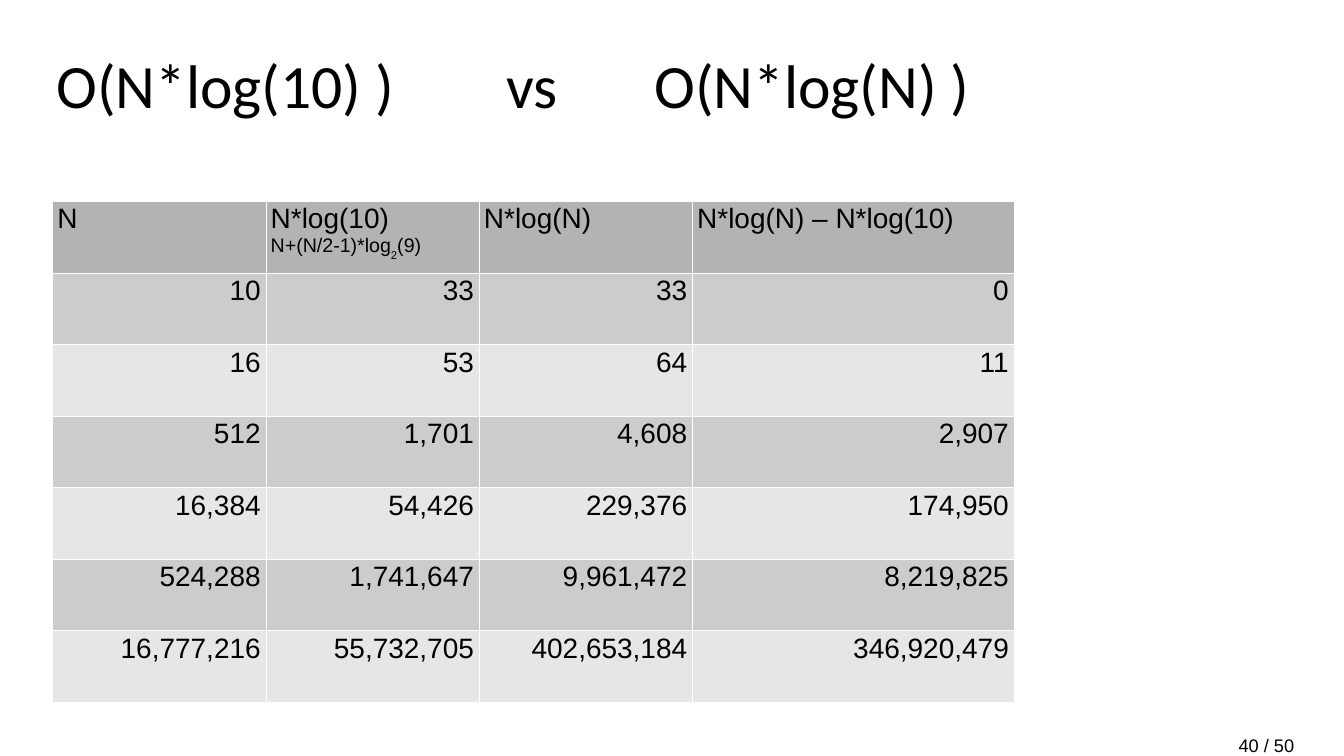
import pptx
import pptx.util
import pptx.dml.color
import pptx.enum.text
import pptx.oxml
import pptx.oxml.ns
import lxml.etree

RGB = pptx.dml.color.RGBColor
BLACK = RGB(0x00, 0x00, 0x00)
HEAD = RGB(0xB3, 0xB3, 0xB3)
DARK = RGB(0xCC, 0xCC, 0xCC)
LIGHT = RGB(0xE6, 0xE6, 0xE6)
LINE = "FFFFFF"
ALIGN = pptx.enum.text.PP_ALIGN
PX = 9144  # EMU per px, 100 px to the inch


def px(num):
    return pptx.util.Emu(num * PX)


class Deck:
    def __init__(self, wide, high):
        self.prs = pptx.Presentation()
        self.prs.slide_width, self.prs.slide_height = px(wide), px(high)
        self.slide = self.prs.slides.add_slide(self.prs.slide_layouts[5])

    def run(self, para, text, size, face="Arial", base=0):
        run = para.add_run()
        run.text = text
        run.font.size = pptx.util.Pt(size)
        run.font.name = face
        run.font.color.rgb = BLACK
        if base:
            run._r.get_or_add_rPr().set("baseline", str(base * 1000))

    def title(self, box, text, size, tabs):
        shape = self.slide.shapes.title
        shape.left, shape.top, shape.width, shape.height = map(px, box)
        frame = shape.text_frame
        frame.margin_left = 0
        frame.auto_size = pptx.enum.text.MSO_AUTO_SIZE.NONE
        frame.vertical_anchor = pptx.enum.text.MSO_ANCHOR.MIDDLE
        para = frame.paragraphs[0]
        para.alignment = ALIGN.LEFT
        stops = lxml.etree.SubElement(para._p.get_or_add_pPr(),
                                      pptx.oxml.ns.qn("a:tabLst"))
        for stop in tabs:
            tab = lxml.etree.SubElement(stops, pptx.oxml.ns.qn("a:tab"))
            tab.set("pos", str(px(stop)))
            tab.set("algn", "l")
        self.run(para, text, size, "Calibri")

    def text(self, box, text, size):
        frame = self.slide.shapes.add_textbox(*map(px, box)).text_frame
        frame.word_wrap = True
        self.run(frame.paragraphs[0], text, size)

    def edge(self, cell):
        props = cell._tc.get_or_add_tcPr()
        for side in "LRTB":
            props.append(pptx.oxml.parse_xml(
                f'<a:ln{side} {pptx.oxml.ns.nsdecls("a")} w="720"><a:solidFill>'
                f'<a:srgbClr val="{LINE}"/></a:solidFill></a:ln{side}>'))

    def cell(self, cell, paras, fill, align):
        self.edge(cell)
        cell.fill.solid()
        cell.fill.fore_color.rgb = fill
        frame = cell.text_frame
        for i, runs in enumerate(paras):
            para = frame.add_paragraph() if i else frame.paragraphs[0]
            para.alignment = align
            for text, size, base in runs:
                self.run(para, text, size, base=base)

    def table(self, left, top, cols, high, head, rows, size):
        count = len(rows) + 1
        table = self.slide.shapes.add_table(
            count, len(cols), px(left), px(top),
            px(sum(cols)), px(high * count)).table
        table.first_row = table.horz_banding = False
        for col, wide in zip(table.columns, cols):
            col.width = px(wide)
        for row in table.rows:
            row.height = px(high)
        for c, paras in enumerate(head):
            self.cell(table.cell(0, c), paras, HEAD, ALIGN.LEFT)
        for r, row in enumerate(rows, 1):
            fill = DARK if r % 2 else LIGHT
            for c, num in enumerate(row):
                self.cell(table.cell(r, c), [[(f"{num:,}", size, 0)]],
                          fill, ALIGN.RIGHT)


def main():
    deck = Deck(2666, 1500)

    # Title
    deck.title((112, 84, 2442, 166),
               "O(N*log(10) )\tvs\tO(N*log(N) )", 88, (892, 1186))

    # Page count
    deck.text((2447, 1452, 219, 50), "40 / 50", 26)

    # Growth table: N, both costs, and the gap between them
    head = [
        [[("N", 40, 0)]],
        [[("N*log(10)", 40, 0)],
         [("N+(N/2-1)*log", 28, 0), ("2", 28, -33), ("(9)", 28, 0)]],
        [[("N*log(N)", 40, 0)]],
        [[("N*log(N) – N*log(10)", 40, 0)]],
    ]
    costs = [
        (10, 33, 33),
        (16, 53, 64),
        (512, 1701, 4608),
        (16384, 54426, 229376),
        (524288, 1741647, 9961472),
        (16777216, 55732705, 402653184),
    ]
    rows = [(n, ten, full, full - ten) for n, ten, full in costs]
    deck.table(104, 399, (423, 423, 423, 638), 142, head, rows, 40)

    deck.prs.save("out.pptx")


if __name__ == "__main__":
    main()
